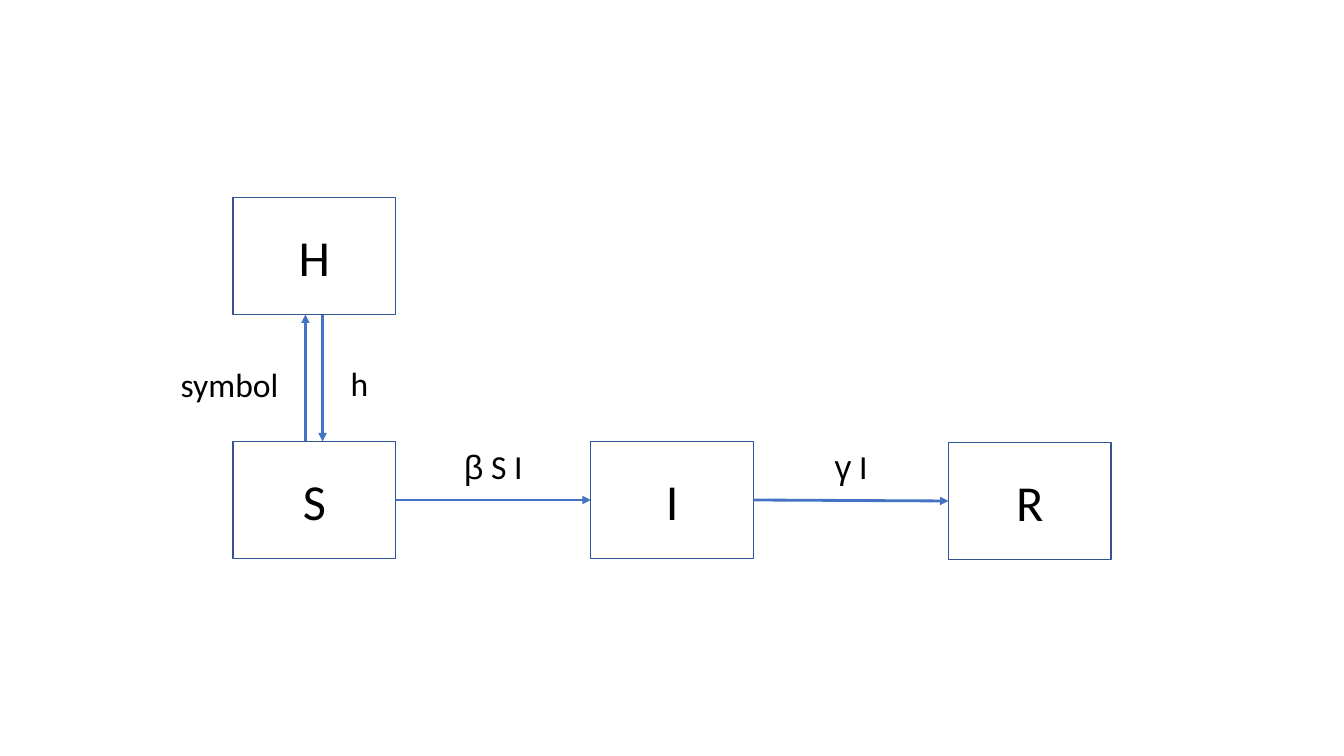
from lxml import etree
from pptx import Presentation
from pptx import util as u
from pptx.dml import color
from pptx.enum import shapes, text
from pptx.oxml import ns

Pt = u.Pt


def paint(colour_format, value):
    colour_format.rgb = color.RGBColor.from_string(value)


def write(frame, runs, size, align):
    frame.word_wrap = True
    paragraph = frame.paragraphs[0]
    paragraph.alignment = align
    for words, face in runs:
        run = paragraph.add_run()
        run.text = words
        run.font.size = Pt(size)
        run.font.name = face
        paint(run.font.color, "000000")


deck = Presentation()
deck.slide_width, deck.slide_height = Pt(960), Pt(540)
slide = deck.slides.add_slide(deck.slide_layouts[6])
LEFT, CENTER, RIGHT = text.PP_ALIGN.LEFT, text.PP_ALIGN.CENTER, text.PP_ALIGN.RIGHT

box_width, box_height = 116.2, 83.7
first_left, pitch = 166.5, 255.5
upper, lower = 141, 315.3
compartments = {}
for letter, column, top in [
    ("H", 0, upper),
    ("S", 0, lower),
    ("R", 2, lower + 0.7),
    ("I", 1, lower),
]:
    box = slide.shapes.add_shape(
        shapes.MSO_SHAPE.RECTANGLE,
        Pt(first_left + column * pitch), Pt(top), Pt(box_width), Pt(box_height),
    )
    box.shadow.inherit = False
    box.fill.solid()
    paint(box.fill.fore_color, "FFFFFF")
    paint(box.line.color, "325491")
    box.line.width = Pt(1)
    box.text_frame.vertical_anchor = text.MSO_ANCHOR.MIDDLE
    write(box.text_frame, [(letter, "Calibri")], 36, CENTER)
    compartments[letter] = box

gap_top = upper + box_height
flows = []
for x, start, end in [(230.4, gap_top, lower), (218.2, lower, gap_top)]:
    flows.append(slide.shapes.add_connector(
        shapes.MSO_CONNECTOR.STRAIGHT, Pt(x), Pt(start), Pt(x), Pt(end)))
for source, target in [("S", "I"), ("I", "R")]:
    flow = slide.shapes.add_connector(shapes.MSO_CONNECTOR.STRAIGHT, 0, 0, 0, 0)
    flow.begin_connect(compartments[source], 3)
    flow.end_connect(compartments[target], 1)
    flows.append(flow)

for flow in flows:
    paint(flow.line.color, "4472C4")
    flow.line.width = Pt(2)
    etree.SubElement(flow.line._get_or_add_ln(), ns.qn("a:tailEnd"), type="triangle")
    etree.SubElement(flow._element.spPr, ns.qn("a:effectLst"))

for left, top, align, runs in [
    (300.2, lower, CENTER, [("β", "Arial"), (" S I", "Calibri")]),
    (300.2 + pitch, lower, CENTER, [("γ", "Arial"), (" I", "Calibri")]),
    (243.4, 255.6, LEFT, [("h", "Calibri")]),
    (101.5, 256.3, RIGHT, [("symbol", "Calibri")]),
]:
    rate = slide.shapes.add_textbox(Pt(left), Pt(top), Pt(104.4), Pt(36))
    rate.text_frame.auto_size = text.MSO_AUTO_SIZE.SHAPE_TO_FIT_TEXT
    write(rate.text_frame, runs, 24, align)

deck.save("out.pptx")
